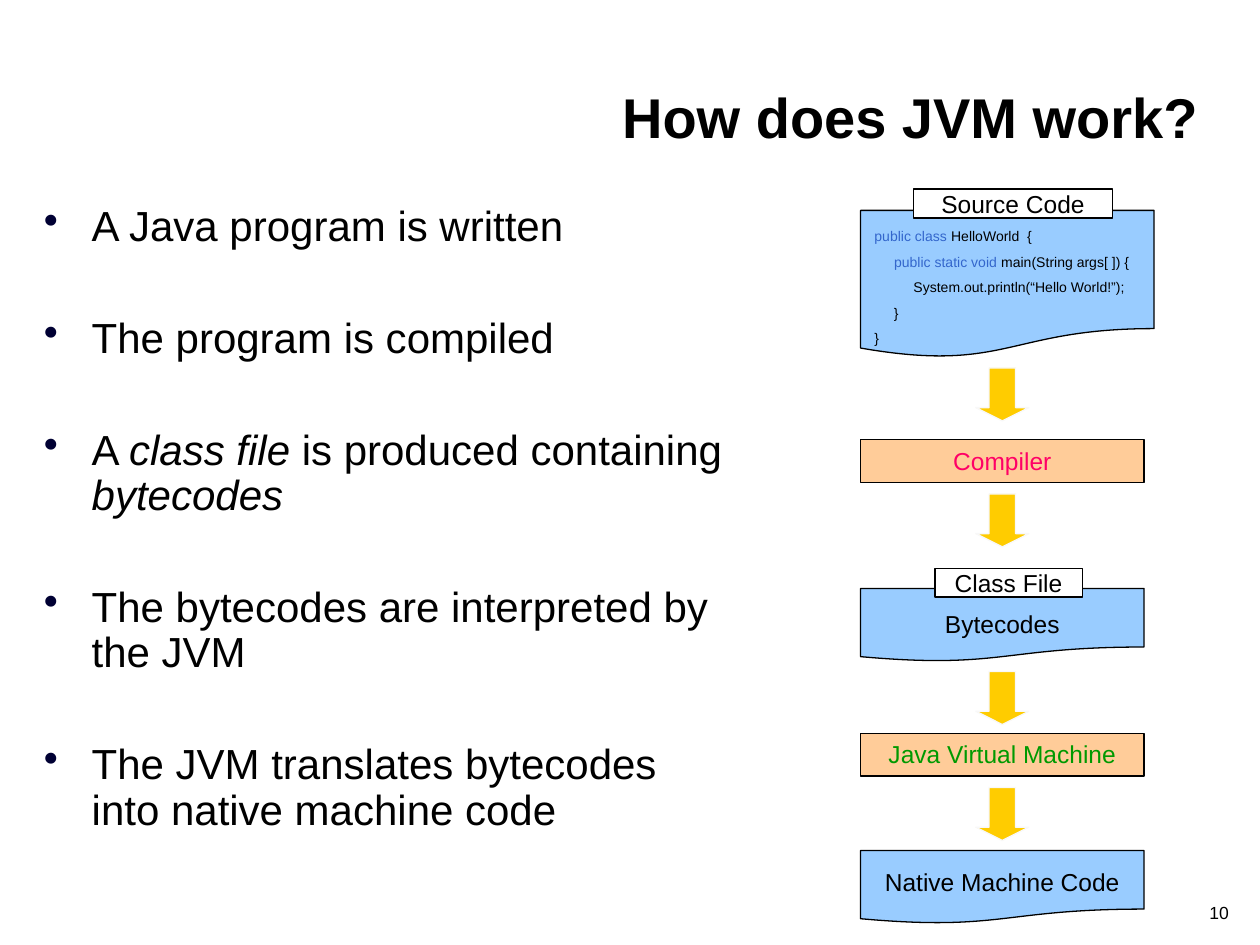
from dataclasses import dataclass

from lxml import etree
from pptx import Presentation
from pptx.dml.color import RGBColor
from pptx.enum.shapes import MSO_SHAPE
from pptx.enum.text import MSO_ANCHOR, PP_ALIGN
from pptx.oxml.ns import qn
from pptx.util import Inches, Pt

RECT, DOC, ARROW = MSO_SHAPE.RECTANGLE, MSO_SHAPE.FLOWCHART_DOCUMENT, MSO_SHAPE.DOWN_ARROW
LEFT, MID, RIGHT = PP_ALIGN.LEFT, PP_ALIGN.CENTER, PP_ALIGN.RIGHT
TOP, BASE = MSO_ANCHOR.TOP, MSO_ANCHOR.BOTTOM


@dataclass(frozen=True)
class Theme:
    font: str = "Arial"
    ink: str = "000000"
    white: str = "FFFFFF"
    bullet: str = "000033"
    blue: str = "99CCFF"
    peach: str = "FFCC99"
    gold: str = "FFCC00"
    edge: str = "F8F8F8"
    pink: str = "FF0066"
    green: str = "009900"
    key: str = "3366CC"
    title: int = 32
    body: int = 24
    label: int = 14
    page: int = 10
    code: int = 8


@dataclass(frozen=True)
class Span:
    text: str
    color: str = Theme.ink
    italic: bool = False


@dataclass(frozen=True)
class Box:
    left: float
    top: float
    width: float
    height: float


@dataclass(frozen=True)
class Style:
    size: int
    align: int = MID
    anchor: int = TOP
    pad: tuple = (0.1, 0.05)
    bold: bool = False
    line: float = 1.0
    gap: float = 0
    bullet: bool = False


THEME = Theme()
LABEL = Style(THEME.label)
TIGHT = Style(THEME.label, pad=(0.02, 0))
CODE = Style(THEME.code, LEFT, pad=(0.02, 0), gap=5)
BODY = Style(THEME.body, LEFT, line=0.9, gap=38, bullet=True)
TITLE = Style(THEME.title, RIGHT, BASE, bold=True)
PAGE = Style(THEME.page, RIGHT, BASE, line=0.8)

# Flow column
COL, WIDE = 6.83, 2.25
ARROW_SIZE = 0.42


def place(box: Box) -> tuple:
    return tuple(Inches(n) for n in (box.left, box.top, box.width, box.height))


def add_bullet(para) -> None:
    props = para._p.get_or_add_pPr()
    props.set("marL", str(Inches(0.38)))
    props.set("indent", str(-Inches(0.38)))
    tint = etree.SubElement(props, qn("a:buClr"))
    etree.SubElement(tint, qn("a:srgbClr")).set("val", THEME.bullet)
    etree.SubElement(props, qn("a:buChar")).set("char", "•")


def fill_text(shape, lines: list[list[Span]], style: Style) -> None:
    frame = shape.text_frame
    frame.word_wrap = True
    frame.vertical_anchor = style.anchor
    frame.margin_left = frame.margin_right = Inches(style.pad[0])
    frame.margin_top = frame.margin_bottom = Inches(style.pad[1])
    for row, spans in enumerate(lines):
        para = frame.add_paragraph() if row else frame.paragraphs[0]
        para.alignment = style.align
        para.line_spacing = style.line
        para.space_before = Pt(style.gap if row else 0)
        if style.bullet:
            add_bullet(para)
        for span in spans:
            run = para.add_run()
            run.text = span.text
            font = run.font
            font.name, font.size = THEME.font, Pt(style.size)
            font.bold, font.italic = style.bold, span.italic
            font.color.rgb = RGBColor.from_string(span.color)


def add_text(slide, box: Box, lines: list[list[Span]], style: Style) -> None:
    fill_text(slide.shapes.add_textbox(*place(box)), lines, style)


def add_block(slide, kind: int, box: Box, fill: str, edge: str = THEME.ink):
    shape = slide.shapes.add_shape(kind, *place(box))
    shape.shadow.inherit = False
    shape.fill.solid()
    shape.fill.fore_color.rgb = RGBColor.from_string(fill)
    shape.line.color.rgb = RGBColor.from_string(edge)
    shape.line.width = Pt(0.75)
    return shape


def add_label(slide, box: Box, text: str, fill: str, style: Style, color: str = THEME.ink) -> None:
    fill_text(add_block(slide, RECT, box, fill), [[Span(text, color)]], style)


def add_arrow(slide, top: float) -> None:
    left = COL + (WIDE - ARROW_SIZE) / 2
    shape = add_block(slide, ARROW, Box(left, top, ARROW_SIZE, ARROW_SIZE), THEME.gold, THEME.edge)
    shape.adjustments[0], shape.adjustments[1] = 0.5, 0.25


def main() -> None:
    deck = Presentation()
    deck.slide_width, deck.slide_height = Inches(10), Inches(7.5)
    slide = deck.slides.add_slide(deck.slide_layouts[6])

    # Title, steps and page number
    add_text(slide, Box(0.7, 0.04, 8.91, 1.2), [[Span("How does JVM work?")]], TITLE)
    steps = [
        [Span("A Java program is written")],
        [Span("The program is compiled")],
        [Span("A "), Span("class file", italic=True),
         Span(" is produced containing "), Span("bytecodes", italic=True)],
        [Span("The bytecodes are interpreted by the JVM")],
        [Span("The JVM translates bytecodes into native machine code")],
    ]
    add_text(slide, Box(0.25, 1.58, 5.67, 5.25), steps, BODY)
    add_text(slide, Box(8, 7.08, 1.85, 0.29), [[Span("10")]], PAGE)

    # Source code
    add_block(slide, DOC, Box(COL, 1.67, 2.33, 1.17), THEME.blue)
    code = [
        [Span("public class", THEME.key), Span(" HelloWorld  {")],
        [Span("     "), Span("public static void", THEME.key), Span(" main(String args[ ]) {")],
        [Span("          System.out.println(“Hello World!”);")],
        [Span("     }")],
        [Span("}")],
    ]
    add_text(slide, Box(6.92, 1.81, 2.25, 0.94), code, CODE)
    add_label(slide, Box(7.25, 1.5, 1.58, 0.23), "Source Code", THEME.white, TIGHT)

    # Compiler and virtual machine
    for top, text, color in ((3.49, "Compiler", THEME.pink),
                             (5.82, "Java Virtual Machine", THEME.green)):
        add_label(slide, Box(COL, top, WIDE, 0.34), text, THEME.peach, LABEL, color)

    # Class file and native code
    for top, text, inset in ((4.67, "Bytecodes", 0.16), (6.75, "Native Machine Code", 0.13)):
        add_block(slide, DOC, Box(COL, top, WIDE, 0.58), THEME.blue)
        add_text(slide, Box(COL, top + inset, WIDE, 0.23), [[Span(text)]], TIGHT)
    add_label(slide, Box(7.42, 4.51, 1.17, 0.23), "Class File", THEME.white, TIGHT)

    # Arrows between stages
    for top in (2.92, 3.92, 5.33, 6.25):
        add_arrow(slide, top)

    deck.save("out.pptx")


if __name__ == "__main__":
    main()
